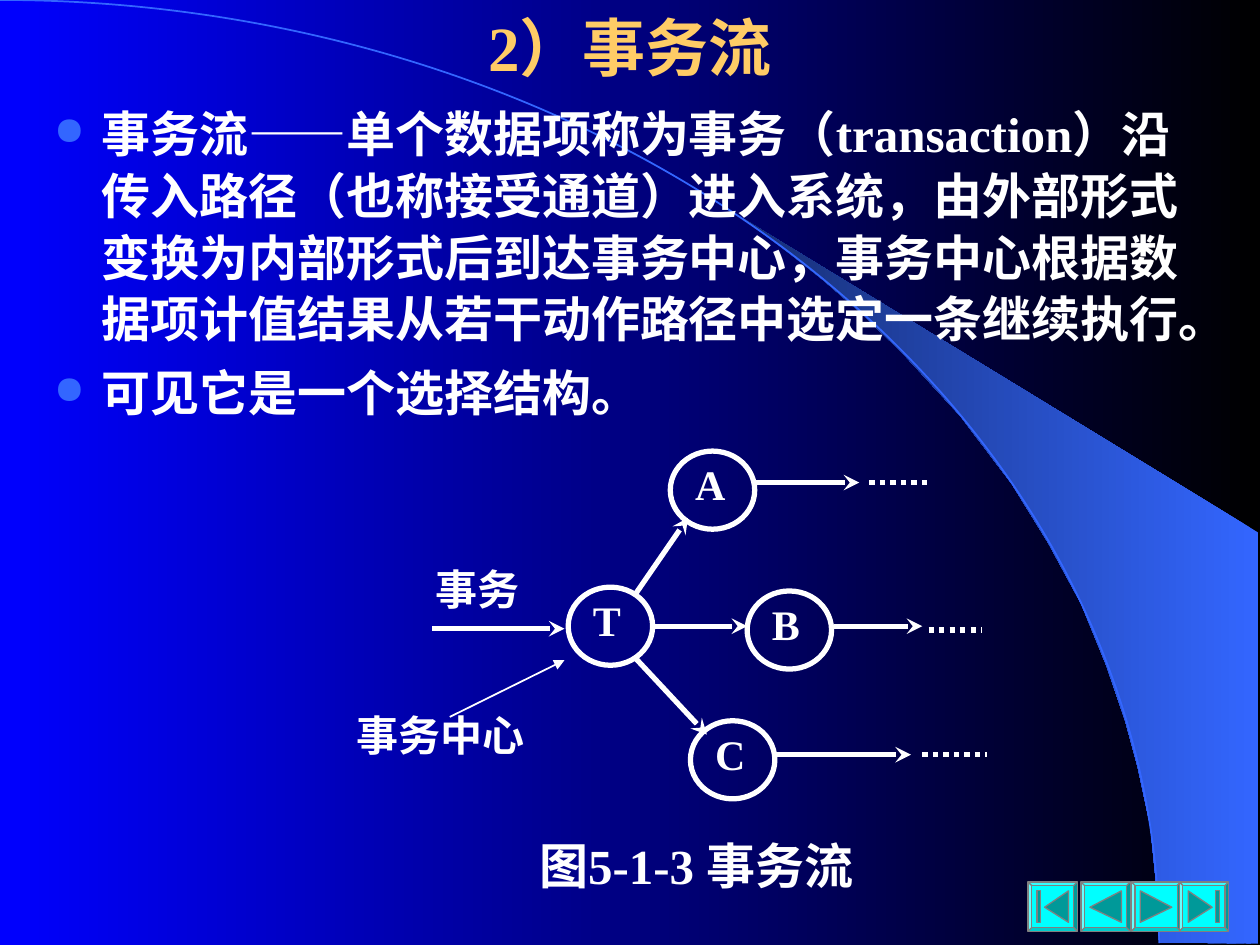
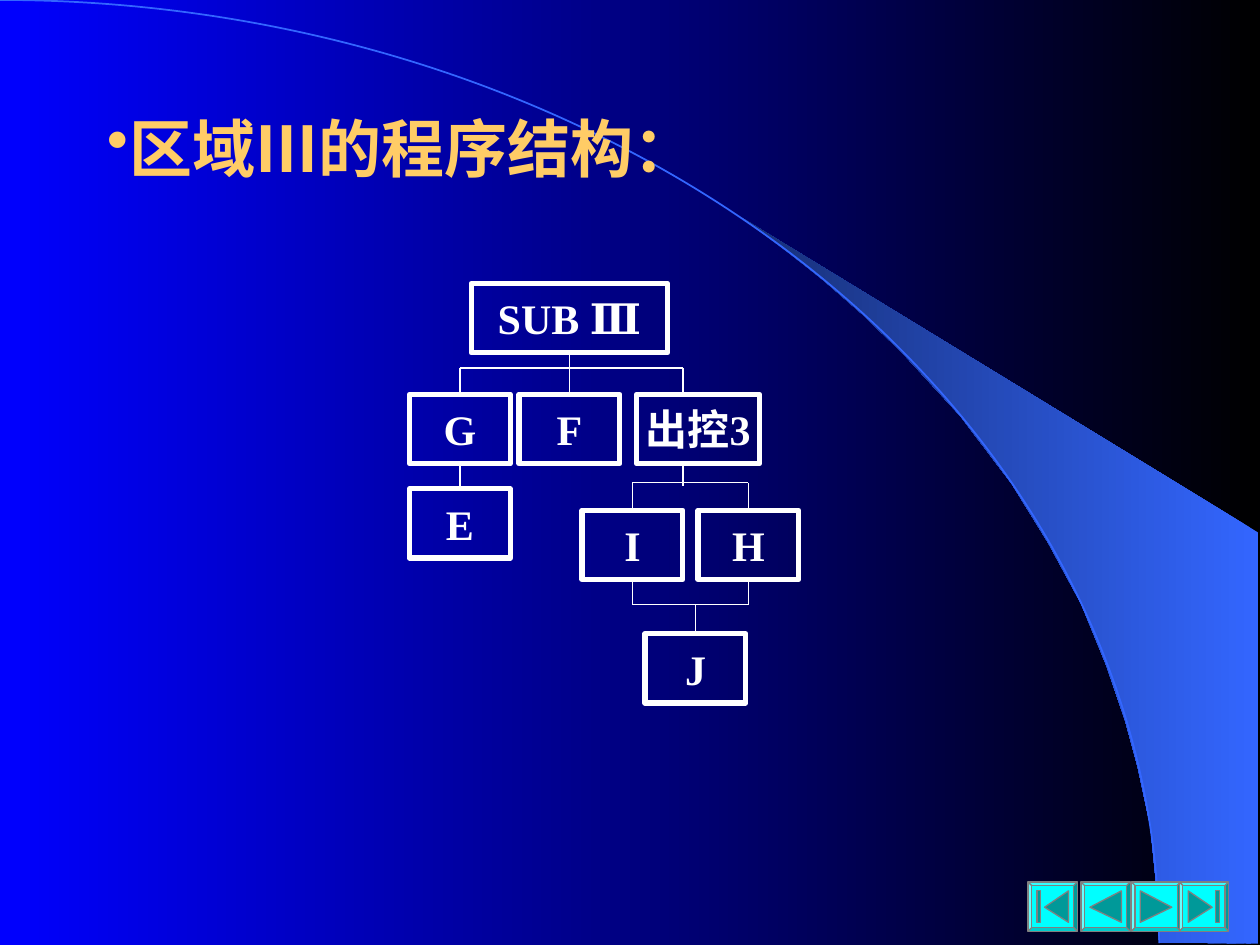
from dataclasses import dataclass
from typing import Optional

import lxml.etree
import pptx
import pptx.dml.color
import pptx.enum.dml
import pptx.enum.shapes
import pptx.enum.text
import pptx.oxml.ns
import pptx.util

Inches = pptx.util.Inches
Shapes = pptx.enum.shapes.MSO_SHAPE
Align = pptx.enum.text.PP_ALIGN
Anchor = pptx.enum.text.MSO_ANCHOR
qn = pptx.oxml.ns.qn
Point = tuple[float, float]


@dataclass(frozen=True)
class Theme:
    font: str = "Times New Roman"
    night: str = "000000"
    blue: str = "0000FF"
    accent: str = "3366FF"
    accent_dark: str = "172F75"
    gold: str = "FFCC66"
    white: str = "FFFFFF"
    button: str = "00FFFF"
    icon: str = "009999"
    edge: str = "808080"
    title_size: int = 36
    body_size: int = 28
    label_size: int = 24
    bold_line: float = 3
    thin_line: float = 1
    hair_line: float = 0.75


THEME = Theme()


@dataclass(frozen=True)
class Label:
    text: str
    left: float
    top: float
    width: float
    height: float
    size: int = THEME.label_size
    color: str = THEME.white
    align: Align = Align.CENTER
    anchor: Anchor = Anchor.TOP
    spacing: float = 1.0
    inset: float = 0.1
    wrap: bool = True

    @property
    def center(self) -> float:
        return self.left + self.width / 2

    @property
    def bottom(self) -> float:
        return self.top + self.height


@dataclass(frozen=True)
class Wire:
    start: Point
    end: Point
    width: float = THEME.bold_line
    head: Optional[str] = None
    dotted: bool = False


SWOOSH: list[Point] = [
    (9.2, 7.48), (9.99, 7.49), (9.99, 4.23), (5.89, 1.73), (6.24, 1.99), (6.53, 2.22),
    (6.85, 2.5), (7.16, 2.8), (7.62, 3.3), (8.03, 3.84), (8.32, 4.31), (8.58, 4.79),
    (8.78, 5.28), (8.93, 5.72), (9.03, 6.09), (9.13, 6.56), (9.17, 6.96),
]

BUTTON_SIZE, BUTTON_TOP = 0.39, 7.0
PREVIOUS_ICON: list[list[Point]] = [[(0.07, 0.2), (0.32, 0.07), (0.32, 0.32)]]
FIRST_ICON: list[list[Point]] = [
    [(0.13, 0.2), (0.32, 0.07), (0.32, 0.32)],
    [(0.07, 0.07), (0.1, 0.07), (0.1, 0.32), (0.07, 0.32)],
]


def mirrored(icon: list[list[Point]]) -> list[list[Point]]:
    return [[(BUTTON_SIZE - x, y) for x, y in outline] for outline in icon]


BUTTONS = {
    8.16: FIRST_ICON,
    8.58: PREVIOUS_ICON,
    8.98: mirrored(PREVIOUS_ICON),
    9.36: mirrored(FIRST_ICON),
}


def rgb(color: str) -> pptx.dml.color.RGBColor:
    return pptx.dml.color.RGBColor.from_string(color)


def set_gradient(fill, start: str, end: str) -> None:
    fill.gradient()
    fill.gradient_angle = 180
    for stop, color in zip(fill.gradient_stops, (start, end)):
        stop.color.rgb = rgb(color)


def style(shape, fill: Optional[str], line: Optional[str], width: float = THEME.hair_line) -> None:
    shape.shadow.inherit = False
    if fill:
        shape.fill.solid()
        shape.fill.fore_color.rgb = rgb(fill)
    else:
        shape.fill.background()
    if line:
        shape.line.color.rgb = rgb(line)
        shape.line.width = pptx.util.Pt(width)
    else:
        shape.line.fill.background()


def add_outline(slide, points: list[Point]):
    corners = [(Inches(x), Inches(y)) for x, y in points]
    builder = slide.shapes.build_freeform(*corners[0], scale=1.0)
    builder.add_line_segments(corners[1:], close=True)
    return builder.convert_to_shape()


def add_backdrop(slide) -> None:
    set_gradient(slide.background.fill, THEME.night, THEME.blue)
    swoosh = add_outline(slide, SWOOSH)
    style(swoosh, None, None)
    set_gradient(swoosh.fill, THEME.accent, THEME.accent_dark)
    arc = slide.shapes.add_shape(Shapes.ARC, Inches(-9.2), Inches(0), Inches(18.4), Inches(14.97))
    style(arc, None, THEME.accent, THEME.thin_line)


def add_navigation(slide) -> None:
    for left, icon in BUTTONS.items():
        button = slide.shapes.add_shape(Shapes.BEVEL, Inches(left), Inches(BUTTON_TOP),
                                        Inches(BUTTON_SIZE), Inches(BUTTON_SIZE))
        button.adjustments[0] = 0.07
        style(button, THEME.button, THEME.edge)
        for outline in icon:
            part = add_outline(slide, [(left + x, BUTTON_TOP + y) for x, y in outline])
            style(part, THEME.icon, THEME.edge)


def set_bullet(paragraph, character: str, color: str, percent: int = 100, indent: float = 0) -> None:
    properties = paragraph._p.get_or_add_pPr()
    properties.set("marL", str(Inches(indent)))
    properties.set("indent", str(-Inches(indent)))
    bullet_color = lxml.etree.SubElement(properties, qn("a:buClr"))
    lxml.etree.SubElement(bullet_color, qn("a:srgbClr"), val=color)
    lxml.etree.SubElement(properties, qn("a:buSzPct"), val=str(percent * 1000))
    lxml.etree.SubElement(properties, qn("a:buChar"), char=character)


def set_font(paragraph, size: int, color: str) -> None:
    paragraph.font.name = THEME.font
    paragraph.font.size = pptx.util.Pt(size)
    paragraph.font.bold = True
    paragraph.font.color.rgb = rgb(color)


def write(shape, label: Label, bullet: Optional[str] = None) -> None:
    frame = shape.text_frame
    frame.word_wrap = label.wrap
    frame.vertical_anchor = label.anchor
    frame.margin_left = frame.margin_right = Inches(label.inset)
    frame.margin_top = frame.margin_bottom = Inches(label.inset / 2)
    paragraph = frame.paragraphs[0]
    paragraph.text = label.text
    paragraph.alignment = label.align
    paragraph.line_spacing = label.spacing
    if bullet:
        set_bullet(paragraph, bullet, label.color)
    set_font(paragraph, label.size, label.color)


def add_label(slide, label: Label, bullet: Optional[str] = None) -> None:
    box = slide.shapes.add_textbox(Inches(label.left), Inches(label.top),
                                   Inches(label.width), Inches(label.height))
    write(box, label, bullet)


def add_node(slide, label: Label, kind):
    node = slide.shapes.add_shape(kind, Inches(label.left), Inches(label.top),
                                  Inches(label.width), Inches(label.height))
    style(node, None, THEME.white, THEME.bold_line)
    write(node, label)
    return node


def add_wire(slide, wire: Wire):
    connector = slide.shapes.add_connector(
        pptx.enum.shapes.MSO_CONNECTOR.STRAIGHT, *(Inches(value) for value in wire.start + wire.end))
    connector.line.color.rgb = rgb(THEME.white)
    connector.line.width = pptx.util.Pt(wire.width)
    if wire.dotted:
        connector.line.dash_style = pptx.enum.dml.MSO_LINE.ROUND_DOT
    properties = connector._element.spPr
    if wire.head:
        lxml.etree.SubElement(properties.find(qn("a:ln")), qn("a:tailEnd"), type=wire.head)
    lxml.etree.SubElement(properties, qn("a:effectLst"))
    return connector


def add_body(slide, texts: list[str]) -> None:
    box = slide.shapes.add_textbox(Inches(0.33), Inches(0.75), Inches(9.25), Inches(3))
    frame = box.text_frame
    frame.word_wrap = True
    for index, text in enumerate(texts):
        paragraph = frame.add_paragraph() if index else frame.paragraphs[0]
        paragraph.text = text
        paragraph.line_spacing = 1.05
        if index:
            paragraph.space_before = pptx.util.Pt(7)
        set_bullet(paragraph, "●", THEME.accent, 80, 0.38)
        set_font(paragraph, THEME.body_size, THEME.white)


def new_slide(presentation, title: Label, bullet: Optional[str] = None):
    slide = presentation.slides.add_slide(presentation.slide_layouts[6])
    add_backdrop(slide)
    add_label(slide, title, bullet)
    add_navigation(slide)
    return slide


def build_transaction_flow(presentation) -> None:
    slide = new_slide(presentation, Label("2）事务流", 0.75, 0.08, 8.5, 0.58, THEME.title_size,
                                          THEME.gold, anchor=Anchor.MIDDLE))
    add_body(slide, [
        "事务流——单个数据项称为事务（transaction）沿传入路径（也称接受通道）进入系统，"
        "由外部形式变换为内部形式后到达事务中心，事务中心根据数据项计值结果从若干动作路径中选定一条继续执行。",
        "可见它是一个选择结构。",
    ])
    circles = {"T": (4.51, 4.66), "A": (5.32, 3.58), "B": (5.93, 4.69), "C": (5.48, 5.72)}
    for name, (left, top) in circles.items():
        add_node(slide, Label(name, left, top, 0.67, 0.62, align=Align.JUSTIFY, spacing=0.8),
                 Shapes.OVAL)
    arrows = [
        ((3.43, 4.99), (4.48, 4.99)), ((5.04, 4.72), (5.46, 4.11)), ((5.18, 4.97), (5.93, 4.97)),
        ((5.04, 5.22), (5.61, 5.83)), ((5.98, 3.83), (6.82, 3.83)), ((6.62, 4.97), (7.32, 4.97)),
        ((6.15, 5.99), (7.23, 5.99)),
    ]
    for start, end in arrows:
        add_wire(slide, Wire(start, end, head="stealth"))
    for left, right, level in [(6.9, 7.4, 3.83), (7.37, 7.79, 5), (7.32, 7.83, 5.99)]:
        add_wire(slide, Wire((left, level), (right, level), dotted=True))
    add_wire(slide, Wire((3.57, 5.69), (4.48, 5.24), THEME.thin_line, "triangle"))
    add_label(slide, Label("事务", 3.36, 4.42, 0.97, 0.64, align=Align.JUSTIFY))
    add_label(slide, Label("事务中心", 2.73, 5.66, 2.06, 0.5, align=Align.JUSTIFY, spacing=0.8))
    add_label(slide, Label("图5‑1‑3 事务流", 3.83, 6.58, 3.39, 0.58, THEME.body_size))


def build_program_structure(presentation) -> None:
    slide = new_slide(presentation, Label("区域Ⅲ的程序结构：", 0.75, 0.67, 8.5, 1, THEME.title_size,
                                          THEME.gold, Align.LEFT, Anchor.MIDDLE), "•")

    def module(text: str, left: float, top: float, width: float = 0.8) -> Label:
        return Label(text, left, top, width, 0.55, anchor=Anchor.MIDDLE, inset=0, wrap=False)

    modules = [
        module("SUB Ⅲ", 3.74, 2.25, 1.56), module("G", 3.25, 3.13), module("F", 4.12, 3.13),
        module("出控3", 5.05, 3.13, 0.98), module("E", 3.25, 3.88), module("I", 4.62, 4.05),
        module("H", 5.54, 4.05), module("J", 5.12, 5.03),
    ]
    labels = {label.text: label for label in modules}
    nodes = {label.text: add_node(slide, label, Shapes.RECTANGLE) for label in modules}

    def line(start: Point, end: Point):
        return add_wire(slide, Wire(start, end, THEME.hair_line))

    def drop(name: str, level: float) -> None:
        label = labels[name]
        line((label.center, level), (label.center, label.top)).end_connect(nodes[name], 0)

    def rise(name: str, level: float) -> None:
        label = labels[name]
        line((label.center, label.bottom), (label.center, level)).begin_connect(nodes[name], 2)

    def link(upper: str, lower: str) -> None:
        connector = line((labels[upper].center, labels[upper].bottom),
                         (labels[lower].center, labels[lower].top))
        connector.begin_connect(nodes[upper], 2)
        connector.end_connect(nodes[lower], 0)

    first_level, second_level, merge_level, exit_center = 2.92, 3.83, 4.8, 5.42
    link("SUB Ⅲ", "F")
    link("G", "E")
    drop("G", first_level)
    line((exit_center, first_level), (exit_center, 3.13))
    line((labels["G"].center, first_level), (exit_center, first_level))
    line((exit_center, 3.68), (exit_center, 3.86))
    for name in ("I", "H"):
        drop(name, second_level)
        rise(name, merge_level)
    for level in (second_level, merge_level):
        line((labels["I"].center, level), (labels["H"].center, level))
    drop("J", merge_level)


def main() -> None:
    presentation = pptx.Presentation()
    presentation.slide_width, presentation.slide_height = Inches(10), Inches(7.5)
    build_transaction_flow(presentation)
    build_program_structure(presentation)
    presentation.save("out.pptx")


if __name__ == "__main__":
    main()
